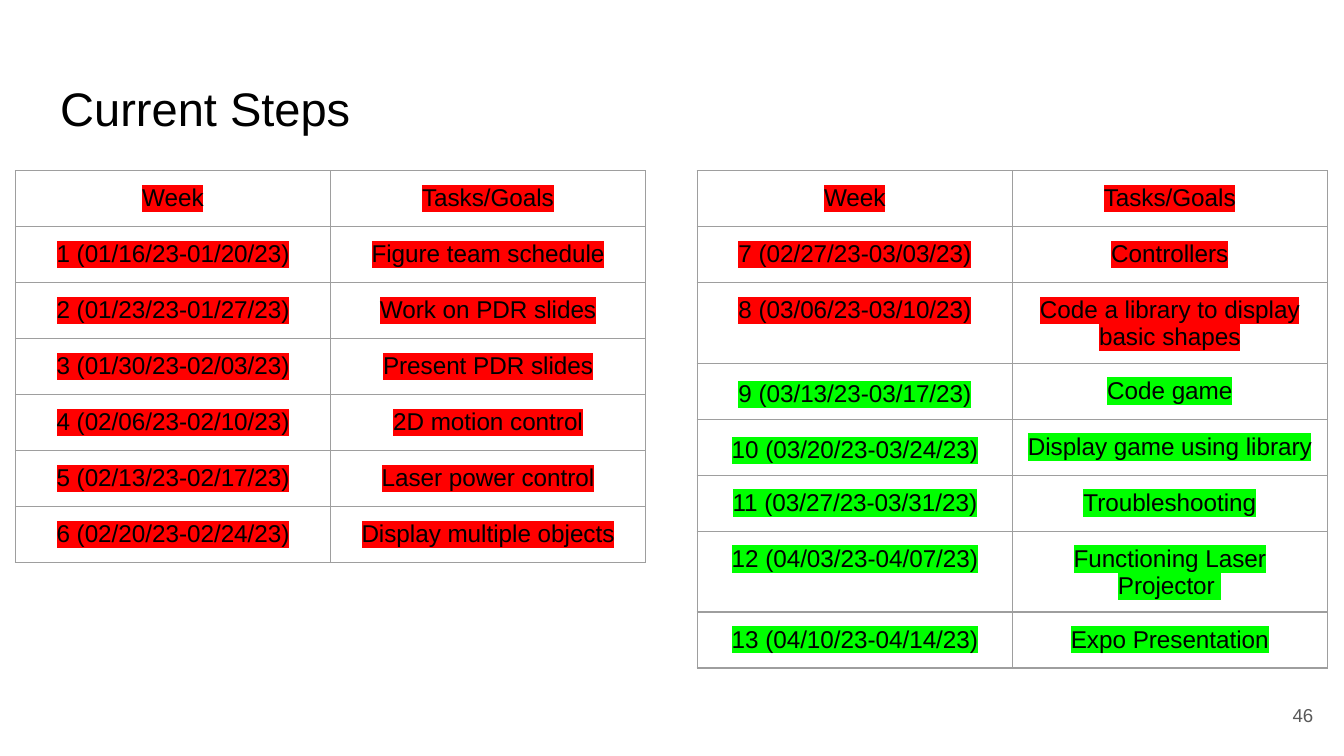
"""Build the Current Steps slide with two weekly schedule tables."""
from lxml.etree import SubElement
from pptx import Presentation
from pptx.dml.color import RGBColor
from pptx.enum.text import MSO_ANCHOR as Anchor, PP_ALIGN as Align
from pptx.oxml import parse_xml
from pptx.oxml.ns import nsdecls, qn
from pptx.util import Pt

PX = 9525
INSET = 10 * PX
RED, GREEN, GREY = "FF0000", "00FF00", "9E9E9E"
MARGINS = {f"margin_{side}": INSET for side in ("left", "top", "right", "bottom")}
CELL_MARGINS = {**MARGINS, "margin_bottom": 6 * PX}
TABLE_LOOK = {"first_row": False, "horz_banding": False}
HEADER = ("Week", "Tasks/Goals", RED, Anchor.TOP)
SCHEDULES = {
    11: [
        HEADER,
        ("1 (01/16/23-01/20/23)", "Figure team schedule", RED, Anchor.TOP),
        ("2 (01/23/23-01/27/23)", "Work on PDR slides", RED, Anchor.TOP),
        ("3 (01/30/23-02/03/23)", "Present PDR slides", RED, Anchor.TOP),
        ("4 (02/06/23-02/10/23)", "2D motion control", RED, Anchor.TOP),
        ("5 (02/13/23-02/17/23)", "Laser power control", RED, Anchor.TOP),
        ("6 (02/20/23-02/24/23)", "Display multiple objects", RED, Anchor.TOP),
    ],
    498: [
        HEADER,
        ("7 (02/27/23-03/03/23)", "Controllers", RED, Anchor.TOP),
        ("8 (03/06/23-03/10/23)", "Code a library to display basic shapes", RED, Anchor.TOP),
        ("9 (03/13/23-03/17/23)", "Code game", GREEN, Anchor.MIDDLE),
        ("10 (03/20/23-03/24/23)", "Display game using library", GREEN, Anchor.MIDDLE),
        ("11 (03/27/23-03/31/23)", "Troubleshooting", GREEN, Anchor.TOP),
        ("12 (04/03/23-04/07/23)", "Functioning Laser Projector ", GREEN, Anchor.TOP),
        ("13 (04/10/23-04/14/23)", "Expo Presentation", GREEN, Anchor.TOP),
    ],
}


def apply(target, values):
    for name, value in values.items():
        setattr(target, name, value)


def write(frame, text, size, color, align):
    para = frame.paragraphs[0]
    para.alignment = align
    span = para.add_run()
    span.text = text
    apply(span.font, {"name": "Arial", "size": Pt(size)})
    span.font.color.rgb = RGBColor.from_string(color)
    return span


deck = Presentation()
apply(deck, {"slide_width": 960 * PX, "slide_height": 540 * PX})
page = deck.slides.add_slide(deck.slide_layouts[5])

title = page.shapes.title
apply(title, {"left": 33 * PX, "top": 47 * PX, "width": 895 * PX, "height": 60 * PX})
apply(title.text_frame, {**MARGINS, "vertical_anchor": Anchor.TOP, "word_wrap": True})
write(title.text_frame, "Current Steps", 25.2, "000000", Align.LEFT)

number = page.shapes.add_textbox(890 * PX, 490 * PX, 58 * PX, 41 * PX)
apply(number.text_frame, {**MARGINS, "vertical_anchor": Anchor.MIDDLE, "word_wrap": True})
write(number.text_frame, "46", 10, "595959", Align.RIGHT)

for left, rows in SCHEDULES.items():
    frame = page.shapes.add_table(
        len(rows), 2, left * PX, 122 * PX, 450 * PX, 40 * len(rows) * PX
    )
    table = frame.table
    apply(table, TABLE_LOOK)
    for row, (week, task, color, week_anchor) in enumerate(rows):
        for column, (text, anchor) in enumerate(((week, week_anchor), (task, Anchor.TOP))):
            cell = table.cell(row, column)
            apply(cell, {**CELL_MARGINS, "vertical_anchor": anchor})
            cell.fill.background()
            span = write(cell.text_frame, text, 13, "000000", Align.CENTER)
            highlight = parse_xml(f"<a:highlight {nsdecls('a')}/>")
            SubElement(highlight, qn("a:srgbClr"), val=color)
            span.font._element.find(qn("a:solidFill")).addnext(highlight)
            properties = cell._tc.get_or_add_tcPr()
            for place, edge in enumerate(("lnL", "lnR", "lnT", "lnB")):
                border = parse_xml(
                    f'<a:{edge} {nsdecls("a")} w="{Pt(0.75)}"><a:solidFill>'
                    f'<a:srgbClr val="{GREY}"/></a:solidFill></a:{edge}>'
                )
                properties.insert(place, border)

deck.save("out.pptx")
